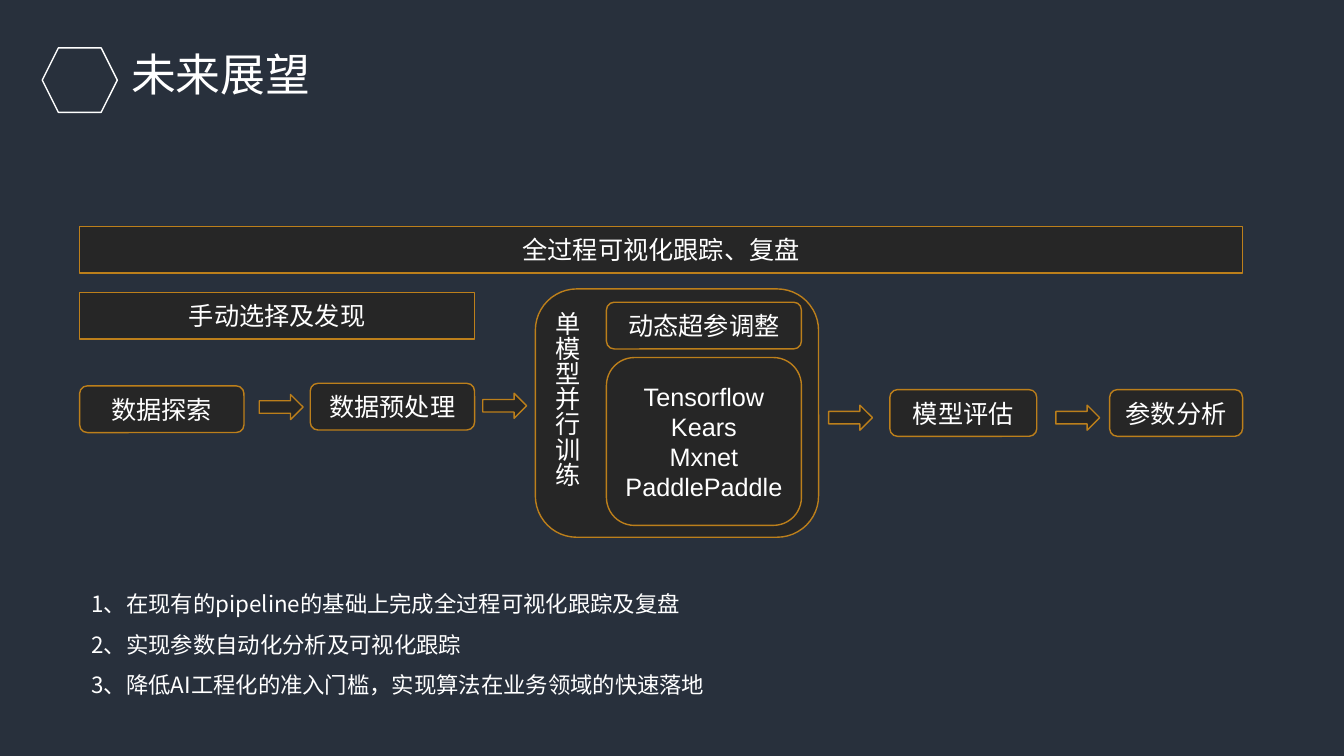
"""Builds the outlook slide: a machine learning pipeline with three goals below it."""
import pptx
import pptx.util
import pptx.dml.color
import pptx.enum.shapes
import pptx.enum.text
import pptx.oxml.ns
import lxml.etree

Pt = pptx.util.Pt
RGBColor = pptx.dml.color.RGBColor
Shape = pptx.enum.shapes.MSO_SHAPE
Align = pptx.enum.text.PP_ALIGN
Anchor = pptx.enum.text.MSO_ANCHOR

NAVY = RGBColor(0x28, 0x30, 0x3C)
CHARCOAL = RGBColor(0x26, 0x26, 0x26)
AMBER = RGBColor(0xBC, 0x7F, 0x1B)
WHITE = RGBColor(0xFF, 0xFF, 0xFF)
CJK_FONT = "Noto Sans CJK SC"
BOX_FONT = "Arial"

TITLE = "未来展望"
TITLE_AREA = (86.4, 29.5, 351.4, 46.1)
HEXAGON_AREA = (30.2, 34.2, 53.6, 46.1)
GOALS = [
    "1、在现有的pipeline的基础上完成全过程可视化跟踪及复盘",
    "2、实现参数自动化分析及可视化跟踪",
    "3、降低AI工程化的准入门槛，实现算法在业务领域的快速落地",
]
GOALS_AREA = (58.3, 408.7, 843.8, 91.4)

LEFT, RIGHT = 56.9, 887.6
BAR_HEIGHT = 33.4
BARS = [
    ("全过程可视化跟踪、复盘", LEFT, 161.8, RIGHT - LEFT),
    ("手动选择及发现", LEFT, 208.8, 282),
]
STEPS = [
    ("数据探索", LEFT, 275.6, 117.4),
    ("数据预处理", 221.6, 273.8, 117.4),
    ("模型评估", 635.6, 278.3, 105),
    ("参数分析", 792.6, 278.3, RIGHT - 792.6),
]
TRAINING = "单模型并行训练"
TRAINING_AREA = (382.4, 206.4, 202.3, 177.4)
TUNING = "动态超参调整"
FRAMEWORKS = ["Tensorflow", "Kears", "Mxnet", "PaddlePaddle"]
INNER_LEFT, INNER_WIDTH = 433.2, 139.3
TUNING_TOP, FRAMEWORKS_TOP, FRAMEWORKS_HEIGHT = 215.9, 255.4, 119.9
ARROWS = [(185.2, 281.8), (344.9, 280.9), (591.9, 289.4), (754.2, 289.4)]
ARROW_SIZE = (31.3, 17.9)


def points(*lengths):
    return [Pt(length) for length in lengths]


def write(shape, lines, size, font, align, anchor, spacing=None):
    frame = shape.text_frame
    frame.word_wrap = True
    frame.vertical_anchor = anchor
    for index, line in enumerate(lines):
        para = frame.paragraphs[0] if index == 0 else frame.add_paragraph()
        para.alignment = align
        para.line_spacing = spacing
        span = para.add_run()
        span.text = line
        span.font.name = font
        span.font.size = Pt(size)
        span.font.color.rgb = WHITE
    for properties in shape.element.iter(pptx.oxml.ns.qn("a:rPr")):
        east_asian = lxml.etree.SubElement(properties, pptx.oxml.ns.qn("a:ea"))
        east_asian.set("typeface", CJK_FONT)


def add_box(page, kind, area, lines=(), anchor=Anchor.MIDDLE):
    box = page.shapes.add_shape(kind, *points(*area))
    box.shadow.inherit = False
    box.fill.solid()
    box.fill.fore_color.rgb = CHARCOAL
    box.line.color.rgb = AMBER
    box.line.width = Pt(1)
    write(box, lines, 18, BOX_FONT, Align.CENTER, anchor)
    return box


def add_hexagon(page):
    hexagon = page.shapes.add_shape(Shape.HEXAGON, *points(*HEXAGON_AREA))
    hexagon.shadow.inherit = False
    hexagon.fill.background()
    hexagon.line.color.rgb = WHITE
    hexagon.line.width = Pt(1)


def add_pipeline(page):
    for text, left, top, width in STEPS:
        add_box(page, Shape.ROUNDED_RECTANGLE, (left, top, width, BAR_HEIGHT), [text])
    for text, left, top, width in BARS:
        add_box(page, Shape.RECTANGLE, (left, top, width, BAR_HEIGHT), [text])
    training = add_box(page, Shape.ROUNDED_RECTANGLE, TRAINING_AREA, [TRAINING], Anchor.BOTTOM)
    training.element.txBody.bodyPr.set("vert", "eaVert")
    for lines, top, height in [
        ([TUNING], TUNING_TOP, BAR_HEIGHT),
        (FRAMEWORKS, FRAMEWORKS_TOP, FRAMEWORKS_HEIGHT),
    ]:
        add_box(page, Shape.ROUNDED_RECTANGLE, (INNER_LEFT, top, INNER_WIDTH, height), lines)
    for corner in ARROWS:
        add_box(page, Shape.RIGHT_ARROW, corner + ARROW_SIZE)


def main():
    deck = pptx.Presentation()
    deck.slide_width, deck.slide_height = points(960, 540)
    page = deck.slides.add_slide(deck.slide_layouts[5])
    page.background.fill.solid()
    page.background.fill.fore_color.rgb = NAVY
    title = page.shapes.title
    title.left, title.top, title.width, title.height = points(*TITLE_AREA)
    write(title, [TITLE], 32, CJK_FONT, Align.LEFT, Anchor.MIDDLE)
    add_hexagon(page)
    add_pipeline(page)
    goals = page.shapes.add_textbox(*points(*GOALS_AREA))
    write(goals, GOALS, 16, CJK_FONT, Align.LEFT, Anchor.TOP, 1.5)
    deck.save("out.pptx")


if __name__ == "__main__":
    main()
